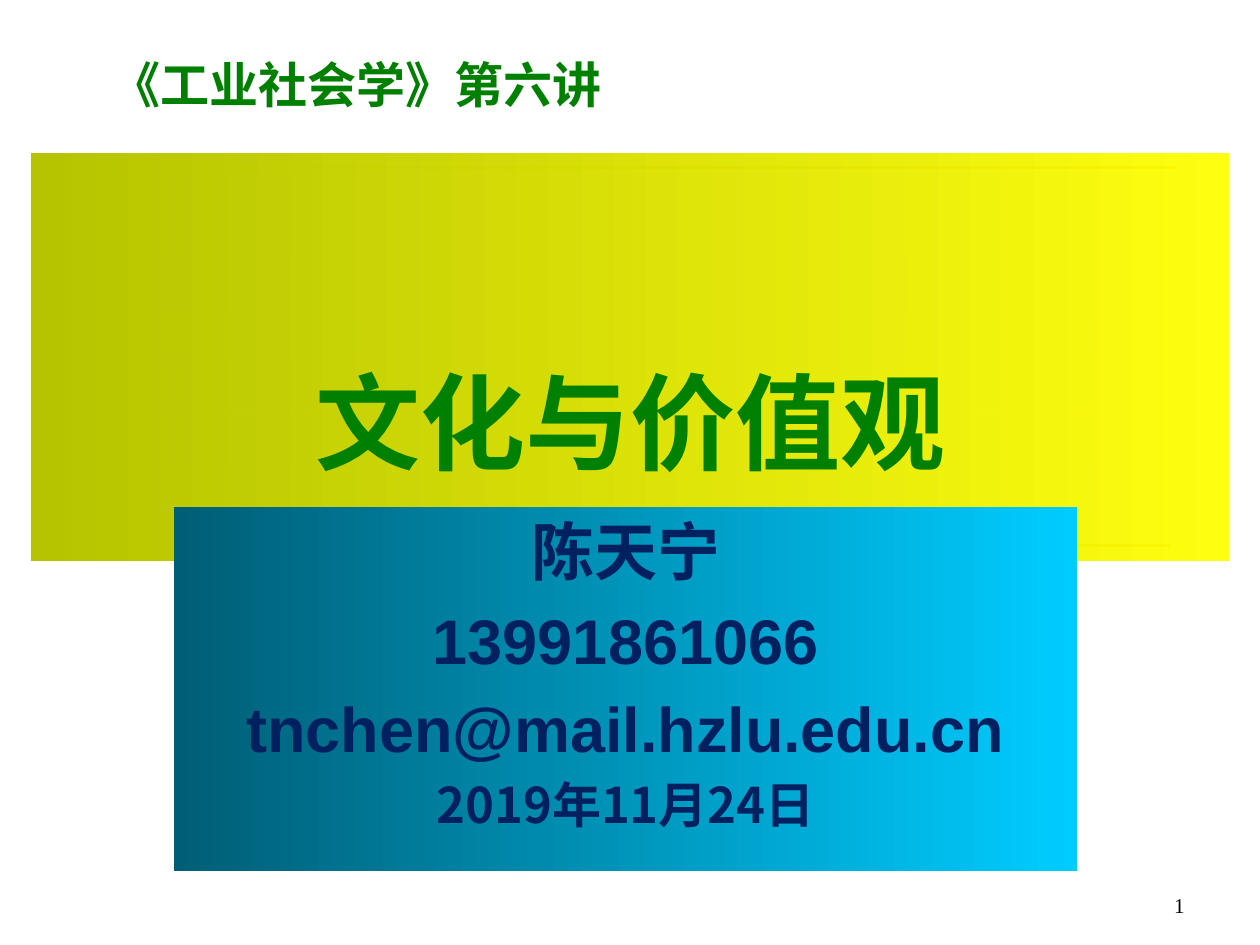
from dataclasses import dataclass

from lxml.etree import SubElement
from pptx import Presentation
from pptx.dml.color import RGBColor
from pptx.enum.shapes import MSO_CONNECTOR
from pptx.enum.text import MSO_ANCHOR, MSO_AUTO_SIZE, PP_ALIGN
from pptx.oxml.ns import qn
from pptx.util import Inches, Pt

CJK, LATIN, SERIF = "Noto Sans CJK SC", "Arial", "Times New Roman"
GREEN, NAVY, GOLD, BLACK = "008000", "002060", "CC9900", "000000"


@dataclass(frozen=True)
class Box:
    left: float
    top: float
    width: float
    height: float


@dataclass(frozen=True)
class Line:
    text: str
    size: int
    font: str = CJK
    color: str = GREEN
    bold: bool = True
    align: PP_ALIGN = PP_ALIGN.CENTER
    before: int = 0
    spacing: float = 1.0


def rgb(value: str) -> RGBColor:
    return RGBColor.from_string(value)


def place(sp, box: Box) -> None:
    sp.left, sp.top = Inches(box.left), Inches(box.top)
    sp.width, sp.height = Inches(box.width), Inches(box.height)


def write(sp, lines: list[Line], anchor=MSO_ANCHOR.TOP, fit=MSO_AUTO_SIZE.NONE) -> None:
    tf = sp.text_frame
    tf.word_wrap, tf.auto_size, tf.vertical_anchor = True, fit, anchor
    for i, line in enumerate(lines):
        p = tf.add_paragraph() if i else tf.paragraphs[0]
        r = p.add_run()
        r.text = line.text
        p.alignment, p.line_spacing = line.align, line.spacing
        p.space_before = Pt(0)
        if line.before:
            spc = p._p.pPr.find(qn("a:spcBef"))
            spc.remove(spc[0])
            SubElement(spc, qn("a:spcPct"), val=str(line.before * 1000))
        f = r.font
        f.size, f.bold, f.name = Pt(line.size), line.bold, line.font
        f.color.rgb = rgb(line.color)
        SubElement(r._r.rPr, qn("a:ea"), typeface=CJK)


def shade(sp, start: str, end: str, end_alpha: int = 100) -> None:
    sp.fill.gradient()
    sp.fill.gradient_angle = 0
    for stop, color in zip(sp.fill.gradient_stops, (start, end)):
        stop.color.rgb = rgb(color)
    if end_alpha < 100:
        last = sp._element.spPr.findall(".//" + qn("a:srgbClr"))[-1]
        SubElement(last, qn("a:alpha"), val=str(end_alpha * 1000))
    sp.line.fill.background()


def stroke(sp, color: str, width: float) -> None:
    sp.line.color.rgb, sp.line.width = rgb(color), Pt(width)


def add_rules(shapes) -> None:
    fb = shapes.build_freeform(Inches(0.67), Inches(2.33))
    fb.add_line_segments([(Inches(0.67), Inches(1.33)), (Inches(9.33), Inches(1.33))], close=False)
    corner = fb.convert_to_shape()
    corner.fill.background()
    corner.shadow.inherit = False
    stroke(corner, GOLD, 2)
    rule = shapes.add_connector(
        MSO_CONNECTOR.STRAIGHT, Inches(2.17), Inches(4.33), Inches(9.29), Inches(4.33))
    stroke(rule, GOLD, 1.5)
    SubElement(rule._element.spPr, qn("a:effectLst"))


def add_text(shapes, box: Box, line: Line, **layout) -> None:
    sp = shapes.add_textbox(0, 0, 0, 0)
    write(sp, [line], **layout)
    place(sp, box)


def main() -> None:
    prs = Presentation()
    prs.slide_width, prs.slide_height = Inches(10), Inches(7.5)
    slide = prs.slides.add_slide(prs.slide_layouts[0])
    shapes = slide.shapes
    title, contact = shapes.title, slide.placeholders[1]

    add_rules(shapes)
    add_text(shapes, Box(7.17, 6.83, 2.33, 0.5),
             Line("1", 12, SERIF, BLACK, False, PP_ALIGN.RIGHT), anchor=MSO_ANCHOR.BOTTOM)

    shapes._spTree.append(title._element)
    place(title, Box(0.25, 1.22, 9.5, 3.23))
    shade(title, "B6C400", "FFFF00", 94)
    write(title, [Line("文化与价值观", 60, before=45, spacing=2.0)], MSO_ANCHOR.MIDDLE)

    add_text(shapes, Box(0.79, 0.38, 5.39, 0.57),
             Line("《工业社会学》第六讲", 28, align=PP_ALIGN.LEFT), fit=MSO_AUTO_SIZE.SHAPE_TO_FIT_TEXT)

    shapes._spTree.append(contact._element)
    place(contact, Box(1.38, 4.02, 7.17, 2.89))
    shade(contact, "005E76", "00CCFF")
    write(contact, [
        Line("陈天宁", 36, CJK, NAVY, before=20),
        Line("13991861066", 36, LATIN, NAVY, before=20),
        Line("tnchen@mail.hzlu.edu.cn", 36, LATIN, NAVY, before=20),
        Line("2019年11月24日", 28, CJK, NAVY, before=20),
    ])
    prs.save("out.pptx")


if __name__ == "__main__":
    main()
